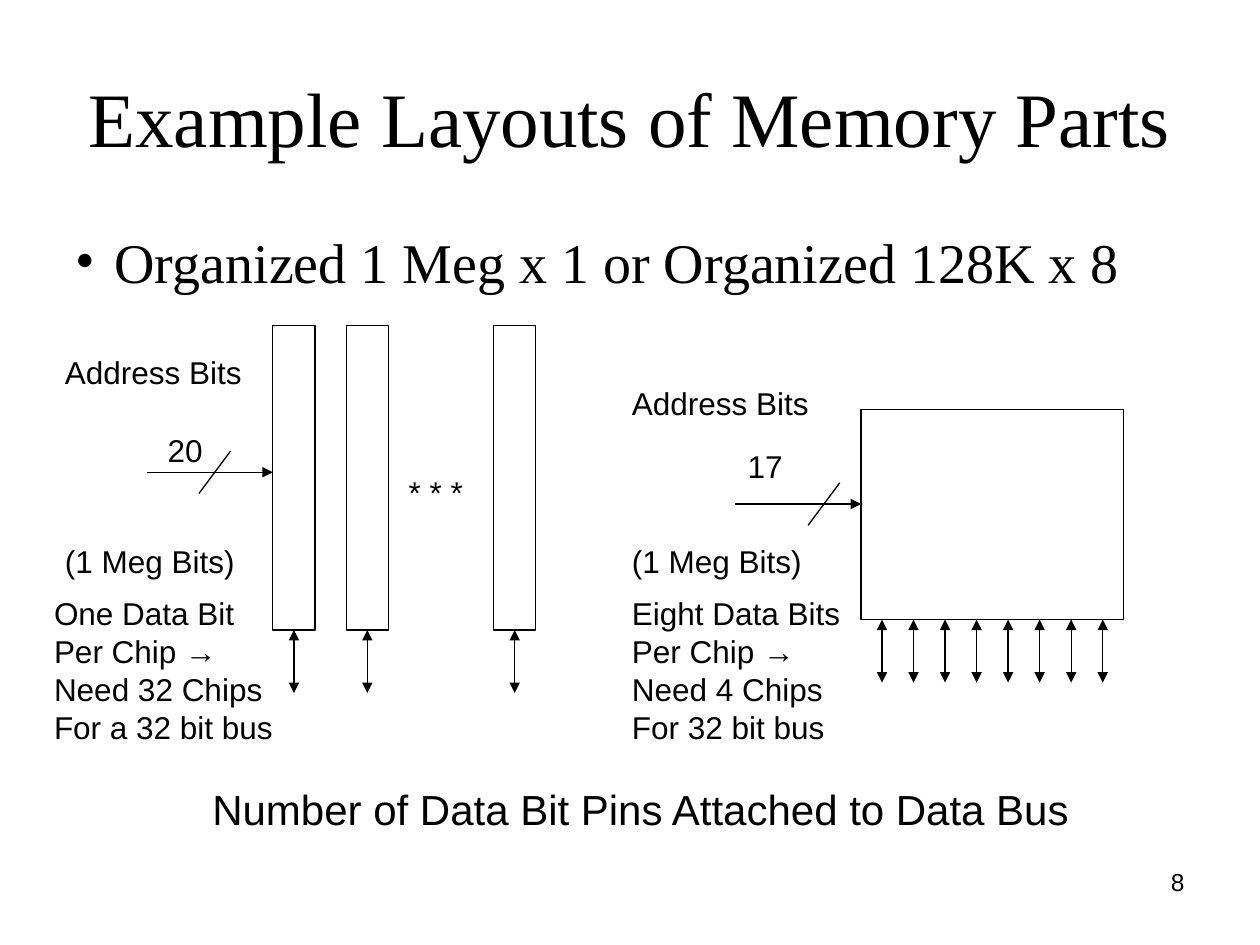
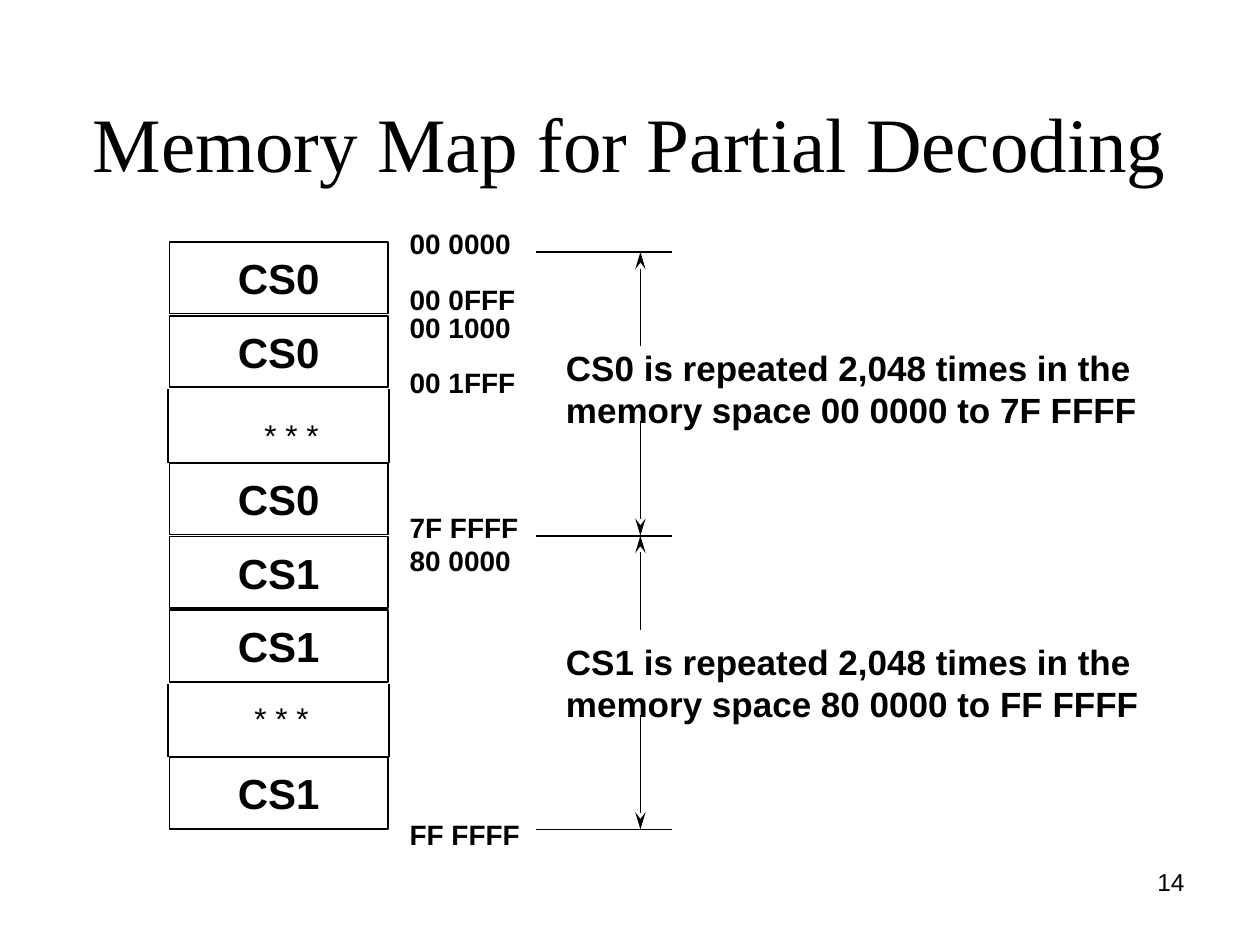
import pptx
import pptx.dml.color
import pptx.enum.shapes
import pptx.enum.text
import pptx.oxml
import pptx.oxml.ns
import pptx.util

Cm = pptx.util.Cm
Pt = pptx.util.Pt
ALIGN = pptx.enum.text.PP_ALIGN
ANCHOR = pptx.enum.text.MSO_ANCHOR

INK = "000000"
PAPER = "FFFFFF"
SANS = "Arial"
SERIF = "Times New Roman"
INSET_X, INSET_Y = 0.25, 0.13
ELLIPSIS = "* * *"


def color(hex_value):
    return pptx.dml.color.RGBColor.from_string(hex_value)


def add_xml(parent, tag, **attributes):
    element = pptx.oxml.parse_xml(f"<a:{tag} {pptx.oxml.ns.nsdecls('a')}/>")
    for name, value in attributes.items():
        element.set(name, str(value))
    parent.append(element)


def write(shape, lines, size=18, font=SANS, bold=False, align=ALIGN.LEFT,
          anchor=ANCHOR.TOP, wrap=False, bullet=None, line_spacing=None, gap=0):
    """Put one paragraph per line into the shape, gap points apart."""
    frame = shape.text_frame
    frame.word_wrap = wrap
    frame.vertical_anchor = anchor
    frame.margin_left = frame.margin_right = Cm(INSET_X)
    frame.margin_top = frame.margin_bottom = Cm(INSET_Y)
    for index, line in enumerate(lines):
        paragraph = frame.paragraphs[0] if index == 0 else frame.add_paragraph()
        paragraph.alignment = align
        if line_spacing:
            paragraph.line_spacing = line_spacing
        if index and gap:
            paragraph.space_before = Pt(gap)
        if bullet:
            properties = paragraph._p.get_or_add_pPr()
            properties.set("marL", str(Cm(0.79)))
            properties.set("indent", str(-Cm(0.79)))
            add_xml(properties, "buFont", typeface=font)
            add_xml(properties, "buChar", char=bullet)
        run = paragraph.add_run()
        run.text = line
        run.font.name = font
        run.font.size = Pt(size)
        run.font.bold = bold
        run.font.color.rgb = color(INK)


def add_text(slide, lines, left, top, width, height, **text_format):
    box = slide.shapes.add_textbox(Cm(left), Cm(top), Cm(width), Cm(height))
    write(box, lines, **text_format)


def add_block(slide, left, top, width, height, weight):
    block = slide.shapes.add_shape(pptx.enum.shapes.MSO_SHAPE.RECTANGLE,
                                   Cm(left), Cm(top), Cm(width), Cm(height))
    block.shadow.inherit = False
    block.fill.background()
    block.line.color.rgb = color(INK)
    block.line.width = Pt(weight)
    return block


def add_line(slide, x1, y1, x2, y2, weight, head=None, tail=None, tip_length="med"):
    line = slide.shapes.add_connector(pptx.enum.shapes.MSO_CONNECTOR.STRAIGHT,
                                      Cm(x1), Cm(y1), Cm(x2), Cm(y2))
    line.line.color.rgb = color(INK)
    line.line.width = Pt(weight)
    outline = line.line._get_or_add_ln()
    for tag, kind in (("headEnd", head), ("tailEnd", tail)):
        if kind:
            add_xml(outline, tag, type=kind, len=tip_length)
    add_xml(line._element.spPr, "effectLst")
    return line


def start_slide(deck, title, number, **title_format):
    slide = deck.slides.add_slide(deck.slide_layouts[6])
    slide.background.fill.solid()
    slide.background.fill.fore_color.rgb = color(PAPER)
    add_text(slide, [title], 1.27, 0.76, 22.86, 3.18, size=44, font=SERIF,
             align=ALIGN.CENTER, wrap=True, **title_format)
    add_text(slide, [str(number)], 18.21, 17.35, 5.92, 1.32, size=14,
             align=ALIGN.RIGHT, wrap=True)
    return slide


# Memory parts

CHIP_WEIGHT = 0.75
PIN_LENGTH = 1.27


def address_bus(slide, chip_left, y, slash_gap, bits, bits_left, bits_top):
    """Arrow that ends at the chip, with a slash and the number of bits."""
    add_line(slide, chip_left - 2.54, y, chip_left, y, CHIP_WEIGHT, tail="triangle")
    slash_x = chip_left - slash_gap
    add_line(slide, slash_x + 0.32, y - 0.43, slash_x - 0.32, y + 0.43, CHIP_WEIGHT)
    add_text(slide, [bits], bits_left, bits_top, 1.3, 1.02)


def data_pin(slide, x, y):
    return add_line(slide, x, y, x, y + PIN_LENGTH, CHIP_WEIGHT,
                    head="triangle", tail="triangle")


def part_labels(slide, left, address_top, notes_left, notes):
    add_text(slide, ["Address Bits"], left, address_top, 4.3, 1.02)
    add_text(slide, ["(1 Meg Bits)"], left, 10.8, 4.2, 1.02)
    add_text(slide, notes, notes_left, 11.85, 5.2, 3.3)


def one_bit_chips(slide, left, top, width, height):
    chip_width = 0.85
    for chip_left in (left, left + 1.48, left + width - chip_width):
        chip = add_block(slide, chip_left, top, chip_width, height, CHIP_WEIGHT)
        pin = data_pin(slide, chip_left + chip_width / 2, top + height)
        pin.begin_connect(chip, 2)
    add_text(slide, [ELLIPSIS], left + 2.49, top + 2.85, 1.8, 1.02)
    address_bus(slide, left, top + 2.96, 1.17, "20", left - 2.37, top + 2)
    part_labels(slide, left - 4.44, top + 0.43, left - 4.66,
                ["One Data Bit", "Per Chip →", "Need 32 Chips",
                 "For a 32 bit bus"])


def eight_bit_chip(slide, left, top, width, height):
    pins, side = 8, 0.42
    add_block(slide, left, top, width, height, CHIP_WEIGHT)
    pitch = (width - 2 * side) / (pins - 1)
    for index in range(pins):
        data_pin(slide, left + side + index * pitch, top + height)
    address_bus(slide, left, top + 1.9, 0.75, "17", left - 2.54, top + 0.63)
    part_labels(slide, left - 4.87, top - 0.64, left - 4.87,
                ["Eight Data Bits", "Per Chip →", "Need 4 Chips",
                 "For 32 bit bus"])


def memory_parts_slide(deck):
    slide = start_slide(deck, "Example Layouts of Memory Parts", 8,
                        anchor=ANCHOR.MIDDLE)
    add_text(slide, ["Organized 1 Meg x 1 or Organized 128K x 8"],
             1.27, 4.45, 22.86, 12.57, size=32, font=SERIF, wrap=True, bullet="•")
    one_bit_chips(slide, 5.5, 6.56, 5.3, 6.14)
    eight_bit_chip(slide, 17.36, 8.26, 5.29, 4.23)
    add_text(slide, ["Number of Data Bit Pins Attached to Data Bus"],
             4.03, 15.67, 18.2, 1.27, size=24)


# Memory map

MAP_WEIGHT = 1


def memory_map(slide, left, top, width, height):
    selects = ["CS0", "CS0", (1.66, 0.41), "CS0", "CS1", "CS1", (1.46, 0.18), "CS1"]
    pitch = height / len(selects)
    for index, select in enumerate(selects):
        y = top + index * pitch
        if isinstance(select, str):
            cell = add_block(slide, left, y, width, pitch - 0.04, MAP_WEIGHT)
            write(cell, [select], size=24, bold=True, align=ALIGN.CENTER,
                  anchor=ANCHOR.MIDDLE)
        else:
            for x in (left - 0.03, left + width + 0.02):
                add_line(slide, x, y, x, y + pitch, MAP_WEIGHT)
            dx, dy = select
            add_text(slide, [ELLIPSIS], left + dx, y + dy, 1.8, 1.02)


def address_labels(slide, left):
    labels = [
        (4.44, 2.03, ["00 0000", "00 0FFF"], 12.5),
        (6.13, 2.03, ["00 1000", "00 1FFF"], 12.5),
        (10.16, 1.6, ["7F FFFF", "80 0000"], 0),
        (16.36, 0.94, ["FF FFFF"], 0),
    ]
    for top, height, addresses, gap in labels:
        add_text(slide, addresses, left, top, 3.43, height, size=16, bold=True,
                 wrap=True, gap=gap)


def repeat_ranges(slide, left, bounds, notes):
    """Rules at the bounds, with arrows and a note in each range between them."""
    arrow_x = left + 2.11
    for y in bounds:
        add_line(slide, left, y, left + 2.74, y, MAP_WEIGHT)
    for start, end, note in zip(bounds, bounds[1:], notes):
        add_line(slide, arrow_x, start, arrow_x, start + 1.9, MAP_WEIGHT,
                 head="stealth", tip_length="lg")
        add_line(slide, arrow_x, end - 2.31, arrow_x, end, MAP_WEIGHT,
                 tail="stealth", tip_length="lg")
        add_text(slide, note, left + 0.36, end - 3.94, 12.6, 1.96, size=20, bold=True)


def memory_map_slide(deck):
    slide = start_slide(deck, "Memory Map for Partial Decoding", 14,
                        anchor=ANCHOR.BOTTOM, line_spacing=0.9)
    memory_map(slide, 3.42, 4.88, 4.4, 11.87)
    address_labels(slide, 8.01)
    repeat_ranges(slide, 10.8, [5.08, 10.8, 16.72], [
        ["CS0 is repeated 2,048 times in the", "memory space 00 0000 to 7F FFFF"],
        ["CS1 is repeated 2,048 times in the", "memory space 80 0000 to FF FFFF"],
    ])


def main():
    deck = pptx.Presentation()
    deck.slide_width, deck.slide_height = Cm(25.4), Cm(19.05)
    memory_parts_slide(deck)
    memory_map_slide(deck)
    deck.save("out.pptx")


if __name__ == "__main__":
    main()
